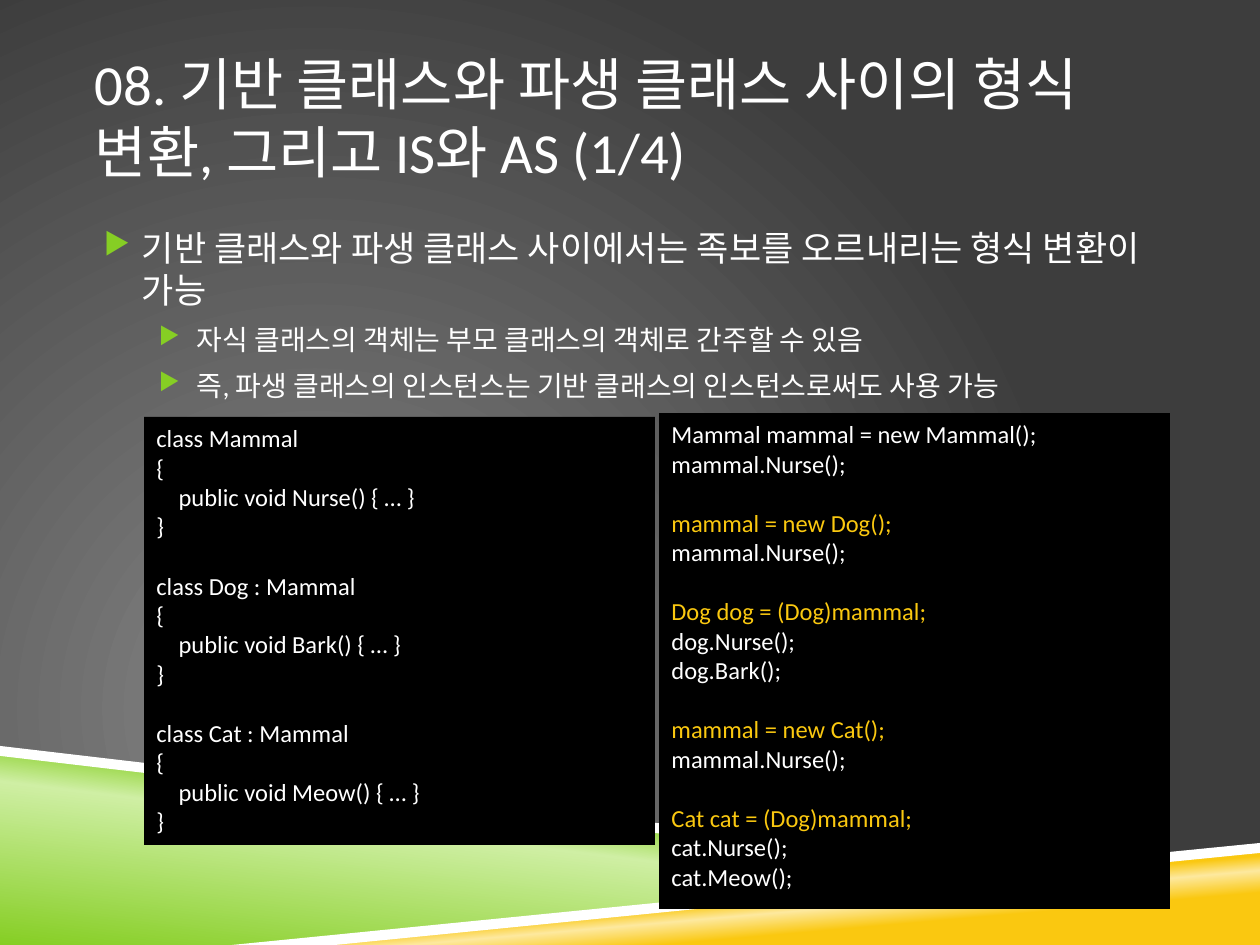
from lxml import etree
from pptx import Presentation, util as u
from pptx.dml.color import RGBColor
from pptx.enum import shapes, text
from pptx.oxml import parse_xml
from pptx.oxml.ns import nsdecls, qn

SCALE = 914400 / 126
WHITE, BLACK, GREEN, YELLOW = "FFFFFF", "000000", "86CE24", "FAC810"
color = RGBColor.from_string


def px(*lengths):
    return [u.Emu(round(length * SCALE)) for length in lengths]


def paint_gradient(element, stops, direction):
    gradient = element.find(".//" + qn("a:gradFill"))
    marks = "".join(
        f'<a:gs pos="{place * 1000}"><a:srgbClr val="{shade}"/></a:gs>'
        for place, shade in stops)
    gradient.getparent().replace(gradient, parse_xml(
        f'<a:gradFill {nsdecls("a")} rotWithShape="1">'
        f'<a:gsLst>{marks}</a:gsLst>{direction}</a:gradFill>'))


deck = Presentation()
deck.slide_width, deck.slide_height = px(1260, 945)
page = deck.slides.add_slide(deck.slide_layouts[5])

page.background.fill.gradient()
paint_gradient(
    page._element, [(0, "878787"), (100, "3D3D3D")],
    '<a:path path="circle"><a:fillToRect l="50000" t="100000" r="100000" b="50000"/></a:path>')

bands = [
    ([(0, 752), (998, 872), (252, 945), (0, 945)],
     [(0, GREEN), (52, "CFEFA4"), (66, GREEN)], 277),
    ([(249, 945), (1260, 847), (1260, 945)],
     [(28, YELLOW), (40, "FDE99F"), (48, YELLOW)], 265),
    ([(0, 746), (0, 756), (995, 873), (1048, 869)], None, 0),
    ([(1260, 843), (232, 945), (335, 945), (1260, 853)], None, 0),
]
for points, stops, angle in bands:
    builder = page.shapes.build_freeform(*points[0], scale=SCALE)
    builder.add_line_segments(points[1:], close=True)
    band = builder.convert_to_shape()
    band.shadow.inherit = False
    band.line.fill.background()
    if stops:
        band.fill.gradient()
        paint_gradient(band._element.spPr, stops,
                       f'<a:lin ang="{angle * 60000}" scaled="0"/>')
    else:
        band.fill.solid()
        band.fill.fore_color.rgb = color(WHITE)

title = page.shapes.title
title.left, title.top, title.width, title.height = px(95, 38, 1071, 157)
title.text_frame.text = "08. 기반 클래스와 파생 클래스 사이의 형식 변환, 그리고 IS와 AS (1/4)"
title.text_frame.vertical_anchor = text.MSO_ANCHOR.MIDDLE
para = title.text_frame.paragraphs[0]
para.alignment = text.PP_ALIGN.LEFT
para.font.size = u.Pt(32.4)

body = page.shapes.add_textbox(*px(95, 220, 1071, 570))
for box in (title, body):
    frame = box.text_frame
    frame.word_wrap = True
    frame.auto_size = text.MSO_AUTO_SIZE.NONE
    frame.margin_left = frame.margin_right = 0

bullets = [
    (0, "기반 클래스와 파생 클래스 사이에서는 족보를 오르내리는 형식 변환이 가능"),
    (1, "자식 클래스의 객체는 부모 클래스의 객체로 간주할 수 있음"),
    (1, "즉, 파생 클래스의 인스턴스는 기반 클래스의 인스턴스로써도 사용 가능"),
]
body.text_frame.text = "\n".join(words for level, words in bullets)
for para, (level, words) in zip(body.text_frame.paragraphs, bullets):
    para.level = level
    margin, hanging = px((47, 102)[level], -38)
    properties = para._p.get_or_add_pPr()
    properties.set("marL", str(margin))
    properties.set("indent", str(hanging))
    bullet_color = etree.SubElement(properties, qn("a:buClr"))
    etree.SubElement(bullet_color, qn("a:srgbClr"), val=GREEN)
    etree.SubElement(properties, qn("a:buSzPct"), val="85000")
    etree.SubElement(properties, qn("a:buChar"), char="▶")
    if level:
        para.space_before = u.Pt(7)
    para.font.size = u.Pt((20, 16)[level])

for box in (title, body):
    for para in box.text_frame.paragraphs:
        para.font.name = "Calibri"
        para.font.color.rgb = color(WHITE)

classes = [["class " + heading, "{", f"    public void {method}() {{ … }}", "}"]
           for heading, method in (("Mammal", "Nurse"), ("Dog : Mammal", "Bark"),
                                   ("Cat : Mammal", "Meow"))]
calls = [
    ["Mammal mammal = new Mammal();", "mammal.Nurse();"],
    ["mammal = new Dog();", "mammal.Nurse();"],
    ["Dog dog = (Dog)mammal;", "dog.Nurse();", "dog.Bark();"],
    ["mammal = new Cat();", "mammal.Nurse();"],
    ["Cat cat = (Dog)mammal;", "cat.Nurse();", "cat.Meow();"],
]
panels = [((144, 417, 511, 428), classes, WHITE),
          ((659, 413, 511, 496), calls, YELLOW)]
for place, groups, accent in panels:
    panel = page.shapes.add_shape(shapes.MSO_SHAPE.RECTANGLE, *px(*place))
    panel.shadow.inherit = False
    panel.fill.solid()
    panel.fill.fore_color.rgb = color(BLACK)
    panel.line.fill.background()
    frame = panel.text_frame
    frame.word_wrap = True
    frame.vertical_anchor = text.MSO_ANCHOR.TOP
    frame.text = "\n".join(line for group in groups for line in group)
    starts = [(number, index) for number, group in enumerate(groups)
              for index in range(len(group))]
    for para, (number, index) in zip(frame.paragraphs, starts):
        opens_group = number > 0 and index == 0
        para.alignment = text.PP_ALIGN.LEFT
        if opens_group:
            para.space_before = u.Pt(17)
        para.font.name = "Calibri"
        para.font.size = u.Pt(14)
        para.font.color.rgb = color(accent if opens_group else WHITE)

deck.save("out.pptx")
